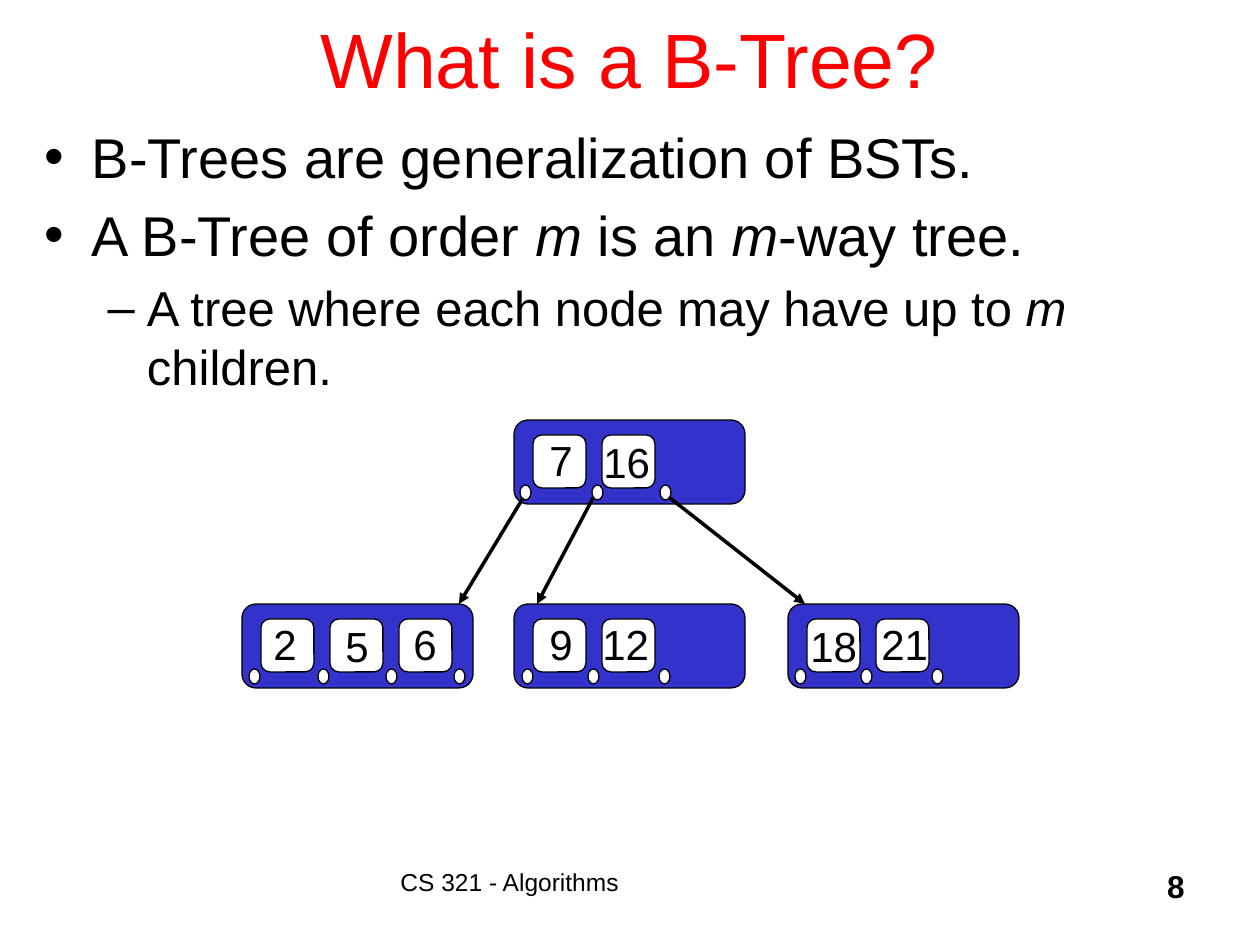
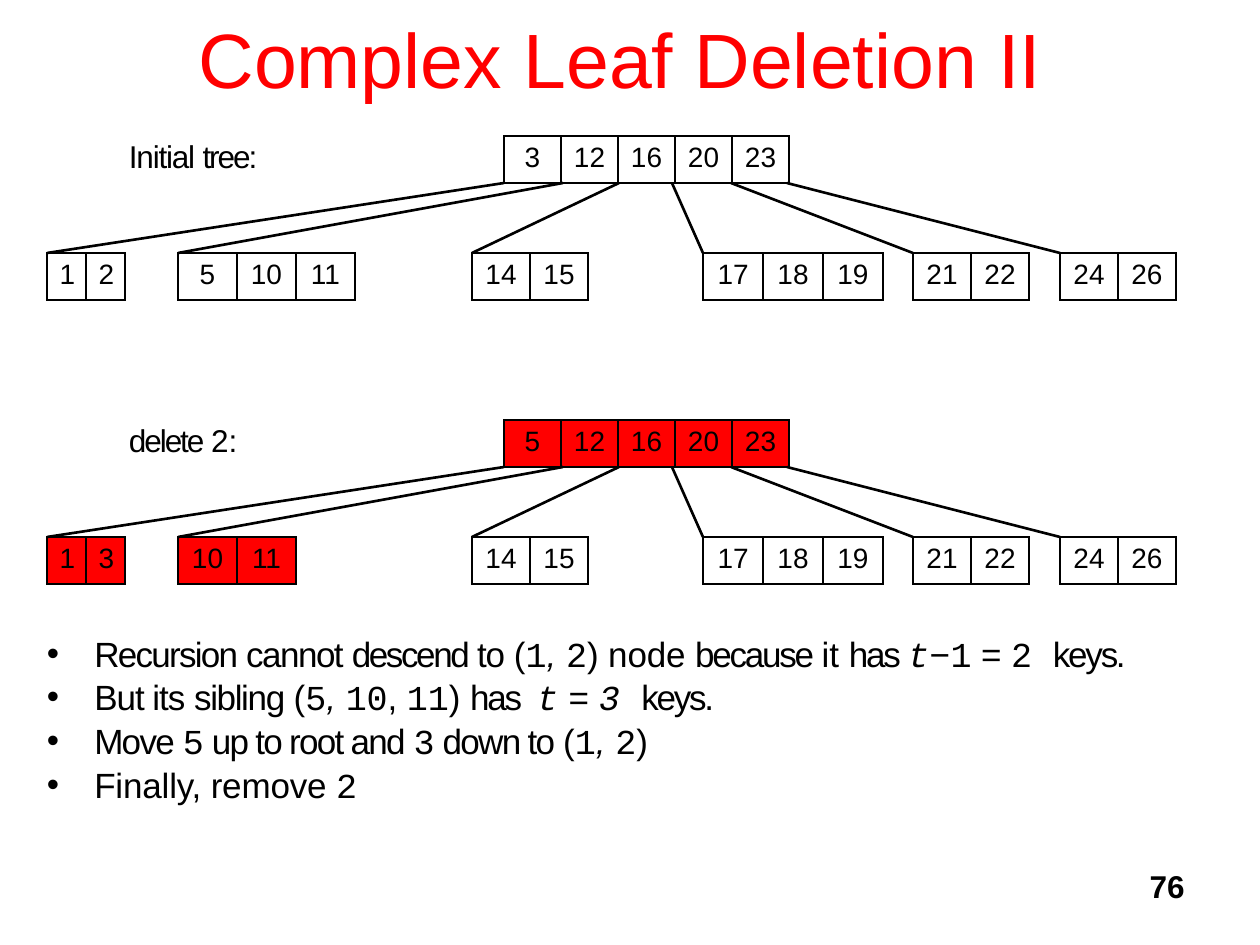
import pptx
import pptx.dml.color
import pptx.enum.shapes
import pptx.enum.text
import pptx.oxml
import pptx.oxml.ns
import pptx.util

BLACK, WHITE, RED, BLUE = "000000", "FFFFFF", "FF0000", "3333CC"
SANS, MONO = "Arial", "Courier New"
ALIGN = pptx.enum.text.PP_ALIGN
SHAPE = pptx.enum.shapes.MSO_SHAPE

NODE_W, NODE_H = 231, 84
KEY_SIDE, KEY_STEP = 53, 69
ROW_H, DROP = 47, 117
ROOT_X, ROOT_COL = 504, 57
LINK_XS = (504, 563, 619, 672, 731, 787)
LEAF_XS = (47, 178, 472, 703, 913, 1060)
LEAF_COLS = (39, 59, 58, 60, 58, 58)

NODES = [
    (514, 420, [("7", 537, 428), ("16", 591, 430)], (520, 592, 660), 485),
    (788, 604, [("18", 798, 614), ("21", 869, 612)], (795, 861, 932), 669),
    (514, 604, [("9", 537, 612), ("12", 590, 612)], (522, 588, 659), 669),
    (242, 604, [("2", 261, 612), ("5", 333, 614), ("6", 401, 612)],
     (249, 318, 386, 454), 669),
]
ARROWS = [((523, 498), (459, 604)), ((593, 498), (537, 604)), ((670, 498), (805, 604))]

INTRO = [
    (0, 32, [("B-Trees are generalization of BSTs.",)]),
    (0, 32, [("A B-Tree of order ",), ("m", "i"), (" is an ",), ("m", "i"),
             ("-way tree.",)]),
    (1, 28, [("A tree where each node may have up to ",), ("m", "i"),
             (" children.",)]),
]
STEPS = [
    (0, 20, [("Recursion ", "", -1), ("cannot ", "", -.9), ("descend ", "", -1.4),
             ("to ", "", -.6), ("(", "", -1.3), ("1", "m"), (", ", "i"), ("2", "m"),
             (") node ", "", -.1), ("because ", "", -1.3), ("it ",),
             ("has ", "", -1.3), ("t", "mi", .1), ("−", "m", -.2), ("1", "m", -.1),
             (" = ", "", -.1), ("2 ", "m", -.1), ("keys.", "", -1.3)]),
    (0, 20, [("But its ", "", -.6), ("sibling ", "", -.8), ("(", "", -.9), ("5", "m"),
             (", ", "i"), ("10", "m", -.1), (", ", "", -.1), ("11", "m", -.1),
             (") ", "", -.1), ("has", "", -1.3), (" ", "", 3), ("t", "mi", .1),
             (" = ", "i", .1), ("3 ", "mi", .1), ("keys.", "", -1.3)]),
    (0, 20, [("Move ", "", -1), ("5", "m", -1), (" up to root and ", "", -1),
             ("3", "m", -1), (" down to ", "", -1), ("(", "", -1.3), ("1", "m"),
             (", ", "i"), ("2", "m"), (")", "", -.1)]),
    (0, 20, [("Finally, remove ", "", -.1), ("2", "m", -.1)]),
]
TREES = [
    (136, [("Initial ", "", -.7), ("tree:", "", -1.2)], "3 12 16 20 23",
     ("1 2", "5 10 11", "14 15", "17 18 19", "21 22", "24 26"), False),
    (420, [("delete ", "", -1.2), ("2",), (":", "", -1.2)], "5 12 16 20 23",
     ("1 3", "10 11", "14 15", "17 18 19", "21 22", "24 26"), True),
]


def px(num):
    return pptx.util.Emu(num * 914400 // 126)


def paint(hue):
    return pptx.dml.color.RGBColor.from_string(hue)


def place(shape, *box):
    shape.left, shape.top, shape.width, shape.height = map(px, box)


def style(run, size, marks="", gap=0, hue=BLACK):
    font = run.font
    font.name = MONO if "m" in marks else SANS
    font.size = pptx.util.Pt(size)
    font.bold, font.italic = "b" in marks, "i" in marks
    font.color.rgb = paint(hue)
    if gap:
        run._r.get_or_add_rPr().set("spc", str(round(gap * 100)))


def fill_line(par, parts, size):
    for text, *look in parts:
        run = par.add_run()
        run.text = text
        style(run, size, *look)


def trim(frame):
    frame.margin_left = frame.margin_right = frame.margin_bottom = 0
    frame.margin_top = px(1)


def add_title(slide, text, x, w):
    title = slide.shapes.title
    place(title, x, -21, w, 157)
    title.text_frame.text = text
    title.text_frame.auto_size = pptx.enum.text.MSO_AUTO_SIZE.NONE
    style(title.text_frame.paragraphs[0].runs[0], 44, hue=RED)


def add_list(slide, items, box):
    body = slide.placeholders[1]
    place(body, *box)
    frame = body.text_frame
    frame.auto_size = pptx.enum.text.MSO_AUTO_SIZE.NONE
    for i, (level, size, parts) in enumerate(items):
        par = frame.add_paragraph() if i else frame.paragraphs[0]
        par.level = level
        fill_line(par, parts, size)
    return frame


def add_text(slide, parts, size, box, align=ALIGN.LEFT, before=0):
    frame = slide.shapes.add_textbox(*map(px, box)).text_frame
    frame.word_wrap = True
    par = frame.paragraphs[0]
    par.alignment = align
    par.space_before = pptx.util.Pt(before)
    fill_line(par, parts, size)
    return frame


def add_page(slide, num):
    add_text(slide, [(num, "b")], 18, (935, 861, 262, 63), ALIGN.RIGHT)


def add_block(slide, kind, box, hue):
    shape = slide.shapes.add_shape(kind, *map(px, box))
    shape.shadow.inherit = False
    shape.fill.solid()
    shape.fill.fore_color.rgb = paint(hue)
    shape.line.color.rgb = paint(BLACK)
    shape.line.width = pptx.util.Pt(.75)


def add_link(slide, start, end, width, arrow=False):
    link = slide.shapes.add_connector(
        pptx.enum.shapes.MSO_CONNECTOR.STRAIGHT, *map(px, start + end))
    link.line.color.rgb = paint(BLACK)
    link.line.width = pptx.util.Pt(width)
    props = link._element.spPr
    if arrow:
        tip = pptx.oxml.parse_xml(
            f'<a:tailEnd {pptx.oxml.ns.nsdecls("a")} type="triangle"/>')
        props.find(pptx.oxml.ns.qn("a:ln")).append(tip)
    props.append(pptx.oxml.parse_xml(f'<a:effectLst {pptx.oxml.ns.nsdecls("a")}/>'))


def add_node(slide, x, y, keys, ports, port_y):
    add_block(slide, SHAPE.ROUNDED_RECTANGLE, (x, y, NODE_W, NODE_H), BLUE)
    for i, (key, key_x, key_y) in enumerate(keys):
        box = (x + 19 + i * KEY_STEP, y + 15, KEY_SIDE, KEY_SIDE)
        add_block(slide, SHAPE.ROUNDED_RECTANGLE, box, WHITE)
        wide = 53 if len(key) == 1 else 84
        add_text(slide, [(key,)], 24, (key_x, key_y, wide, 63), before=3)
    for port in ports:
        add_block(slide, SHAPE.OVAL, (port, port_y, 11, 15), WHITE)


def add_edges(cell):
    props = cell._tc.get_or_add_tcPr()
    for side in "LRTB":
        props.append(pptx.oxml.parse_xml(
            f'<a:ln{side} {pptx.oxml.ns.nsdecls("a")} w="12700"><a:solidFill>'
            f'<a:srgbClr val="{BLACK}"/></a:solidFill></a:ln{side}>'))


def add_keys(slide, keys, x, y, col, hue):
    keys = keys.split()
    box = (x, y, col * len(keys), ROW_H)
    table = slide.shapes.add_table(1, len(keys), *map(px, box)).table
    table.first_row = table.horz_banding = False
    for i, key in enumerate(keys):
        table.columns[i].width = px(col)
        cell = table.cell(0, i)
        add_edges(cell)
        cell.fill.solid()
        cell.fill.fore_color.rgb = paint(hue)
        par = cell.text_frame.paragraphs[0]
        par.text = key
        par.alignment = ALIGN.CENTER
        par.space_before = pptx.util.Pt(1)
        style(par.runs[0], 16)


def add_tree(slide, top, label, root, leaves, changed):
    trim(add_text(slide, label, 18, (129, top, 135, 40), before=1))
    hot = RED if changed else WHITE
    add_keys(slide, root, ROOT_X, top, ROOT_COL, hot)
    for i, (keys, x, col) in enumerate(zip(leaves, LEAF_XS, LEAF_COLS)):
        add_keys(slide, keys, x, top + DROP, col, hot if i < 2 else WHITE)
        add_link(slide, (LINK_XS[i], top + ROW_H), (x, top + DROP), 1.5)


def draw_intro(slide):
    add_title(slide, "What is a B-Tree?", 94, 1071)
    add_list(slide, INTRO, (32, 116, 1197, 305))
    add_text(slide, [("CS 321 - Algorithms",)], 14, (388, 861, 483, 63))
    add_page(slide, "8")
    for node in NODES:
        add_node(slide, *node)
    for start, end in ARROWS:
        add_link(slide, start, end, 2, True)


def draw_delete(slide):
    add_title(slide, "Complex Leaf Deletion II", 128, 985)
    add_page(slide, "76")
    frame = add_list(slide, STEPS, (47, 631, 1108, 176))
    trim(frame)
    for par in frame.paragraphs:
        par.space_before = pptx.util.Pt(1)
    for tree in TREES:
        add_tree(slide, *tree)


def main():
    deck = pptx.Presentation()
    deck.slide_width, deck.slide_height = px(1260), px(945)
    for draw in (draw_intro, draw_delete):
        draw(deck.slides.add_slide(deck.slide_layouts[1]))
    deck.save("out.pptx")


if __name__ == "__main__":
    main()
